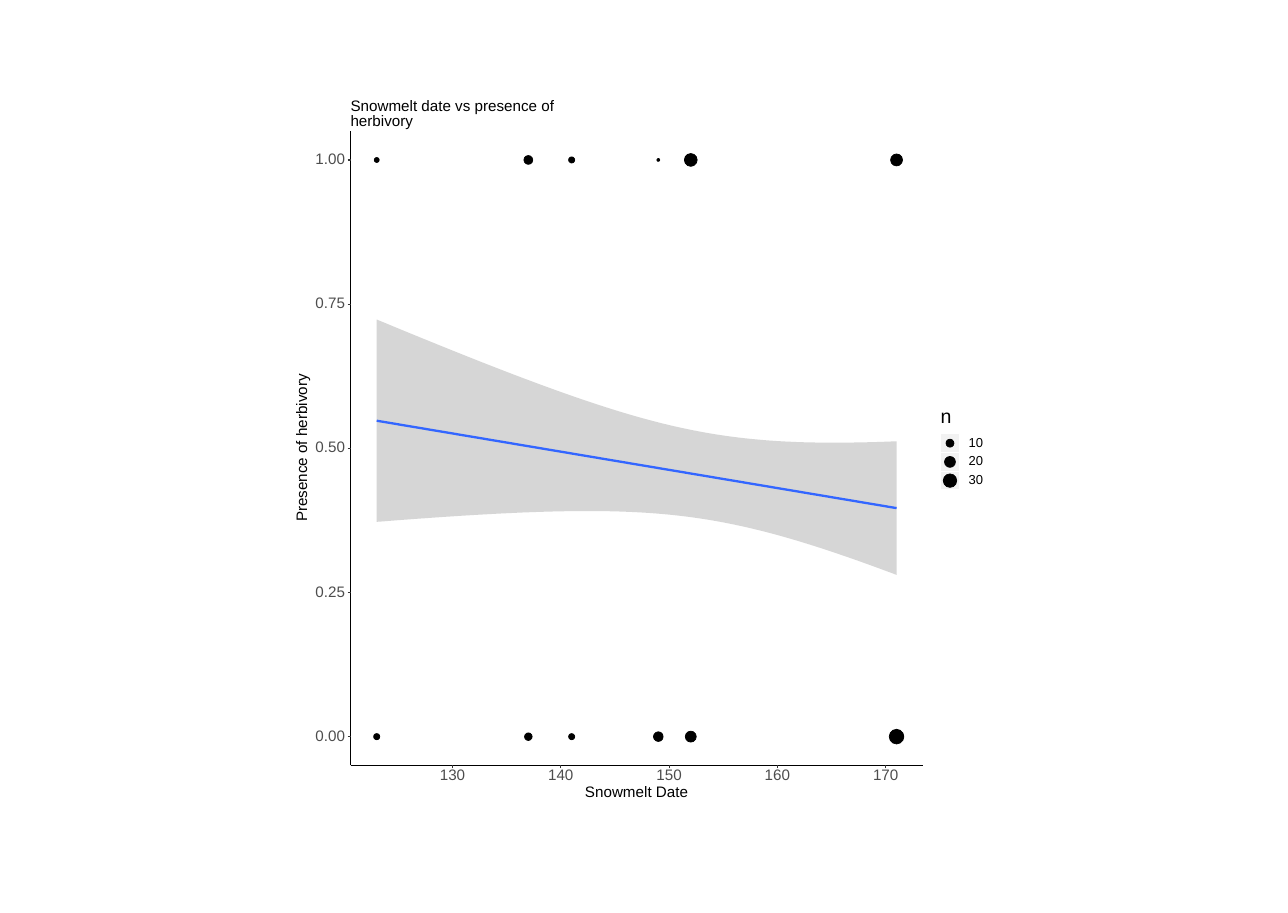
from dataclasses import dataclass
from math import sqrt
from typing import Optional

from lxml import etree
from pptx import Presentation
from pptx import util as u
from pptx.dml.color import RGBColor
from pptx.enum import shapes, text
from pptx.oxml import ns

BLACK = RGBColor(0x00, 0x00, 0x00)
WHITE = RGBColor(0xFF, 0xFF, 0xFF)
TICK_GREY = RGBColor(0x33, 0x33, 0x33)
LABEL_GREY = RGBColor(0x4D, 0x4D, 0x4D)
BAND_GREY = RGBColor(0x99, 0x99, 0x99)
KEY_GREY = RGBColor(0xF2, 0xF2, 0xF2)
FIT_BLUE = RGBColor(0x33, 0x66, 0xFF)

LEFT, RIGHT, TOP, BOTTOM = 323.3, 851, 121, 706.3
TICK = 2.7
FIRST_DATE, LAST_DATE = 123, 171
BAND_STEPS = 79


@dataclass(frozen=True)
class Observation:
    date: int
    presence: int
    diameter: float


@dataclass(frozen=True)
class LegendKey:
    label: str
    diameter: float


@dataclass(frozen=True)
class Label:
    wording: str
    left: float
    top: float
    width: float
    height: float
    size: int = 14
    color: RGBColor = BLACK
    align: text.PP_ALIGN = text.PP_ALIGN.LEFT
    rotation: int = 0


OBSERVATIONS = [
    Observation(123, 0, 5.6), Observation(123, 1, 4.5),
    Observation(137, 0, 7), Observation(137, 1, 8.1),
    Observation(141, 0, 5.6), Observation(141, 1, 5.6),
    Observation(149, 0, 8.9), Observation(149, 1, 2.6),
    Observation(152, 0, 10.1), Observation(152, 1, 11.8),
    Observation(171, 0, 13.5), Observation(171, 1, 11),
]
LEGEND_KEYS = [LegendKey("10", 7.3), LegendKey("20", 10.1), LegendKey("30", 12.4)]


def date_x(date: float) -> float:
    return 417.4 + (date - 130) * 9.99


def presence_y(presence: float) -> float:
    return 679.7 - presence * 532.1


def fit_y(date: float) -> float:
    return 388.2 + (date - FIRST_DATE) * 1.68


def band_half_height(date: float) -> float:
    return sqrt(1597 + 7.48 * (date - 153.85) ** 2)


def add_filled(page, kind, left: float, top: float, width: float, height: float,
               fill: RGBColor, line: Optional[RGBColor] = None, weight: float = 1.07):
    shape = page.shapes.add_shape(kind, u.Pt(left), u.Pt(top), u.Pt(width), u.Pt(height))
    shape.shadow.inherit = False
    shape.fill.solid()
    shape.fill.fore_color.rgb = fill
    if line is None:
        shape.line.fill.background()
    else:
        shape.line.color.rgb = line
        shape.line.width = u.Pt(weight)
    return shape


def add_dot(page, x: float, y: float, diameter: float) -> None:
    add_filled(page, shapes.MSO_SHAPE.OVAL, x - diameter / 2, y - diameter / 2,
               diameter, diameter, BLACK, BLACK, 0.71)


def add_line(page, x1: float, y1: float, x2: float, y2: float,
             color: RGBColor, weight: float = 1.07) -> None:
    line = page.shapes.add_connector(shapes.MSO_CONNECTOR.STRAIGHT,
                                     u.Pt(x1), u.Pt(y1), u.Pt(x2), u.Pt(y2))
    line.line.color.rgb = color
    line.line.width = u.Pt(weight)
    etree.SubElement(line._element.spPr, ns.qn("a:effectLst"))


def set_label(box, label: Label) -> None:
    box.left, box.top = u.Pt(label.left), u.Pt(label.top)
    box.width, box.height = u.Pt(label.width), u.Pt(label.height)
    box.rotation = label.rotation
    frame = box.text_frame
    frame.text = label.wording
    frame.word_wrap = False
    frame.auto_size = text.MSO_AUTO_SIZE.NONE
    frame.vertical_anchor = text.MSO_ANCHOR.MIDDLE
    frame.margin_left = frame.margin_right = frame.margin_top = frame.margin_bottom = 0
    para = frame.paragraphs[0]
    para.alignment = label.align
    para.line_spacing = u.Pt(label.size)
    span = para.runs[0]
    span.font.name = "Arial"
    span.font.size = u.Pt(label.size)
    span.font.color.rgb = label.color


def add_label(page, label: Label) -> None:
    set_label(page.shapes.add_textbox(0, 0, 0, 0), label)


def add_band(page) -> None:
    step = (LAST_DATE - FIRST_DATE) / BAND_STEPS
    dates = [FIRST_DATE + step * index for index in range(BAND_STEPS + 1)]
    upper = [(date_x(date), fit_y(date) - band_half_height(date)) for date in dates]
    lower = [(date_x(date), fit_y(date) + band_half_height(date)) for date in dates]
    outline = [(u.Pt(x), u.Pt(y)) for x, y in upper + lower[::-1]]
    builder = page.shapes.build_freeform(*outline[0])
    builder.add_line_segments(outline[1:], close=True)
    band = builder.convert_to_shape()
    band.shadow.inherit = False
    band.line.fill.background()
    band.fill.solid()
    band.fill.fore_color.rgb = BAND_GREY
    color = band._element.spPr.find(".//" + ns.qn("a:srgbClr"))
    etree.SubElement(color, ns.qn("a:alpha"), val="40000")


def add_axes(page) -> None:
    add_line(page, LEFT, BOTTOM, LEFT, TOP, BLACK)
    for quarter in range(5):
        y = presence_y(quarter / 4)
        add_label(page, Label(f"{quarter / 4:.2f}", 290.9, y - 5, 27.4, 10,
                              color=LABEL_GREY, align=text.PP_ALIGN.RIGHT))
        add_line(page, LEFT - TICK, y, LEFT, y, TICK_GREY)
    add_line(page, LEFT, BOTTOM, RIGHT, BOTTOM, BLACK)
    for date in range(130, 171, 10):
        x = date_x(date)
        add_line(page, x, BOTTOM + TICK, x, BOTTOM, TICK_GREY)
        add_label(page, Label(str(date), x - 11.7, 710.6, 23.4, 10,
                              color=LABEL_GREY, align=text.PP_ALIGN.CENTER))
    add_label(page, Label("Snowmelt Date", 539.7, 726.4, 95, 10,
                          align=text.PP_ALIGN.CENTER))
    add_label(page, Label("Presence of herbivory", 211, 406.8, 136, 13,
                          align=text.PP_ALIGN.CENTER, rotation=270))


def add_legend(page) -> None:
    rectangle = shapes.MSO_SHAPE.RECTANGLE
    key_left, key_top, key_side = 867.6, 400.3, 17.28
    add_filled(page, rectangle, 861.8, 369.4, 50.4, 88.6, WHITE)
    add_label(page, Label("n", key_left, 380.2, 10, 9.4, size=18))
    for index, key in enumerate(LEGEND_KEYS):
        top = key_top + index * key_side
        middle = top + key_side / 2
        add_filled(page, rectangle, key_left, top, key_side, key_side, KEY_GREY, WHITE)
        add_dot(page, key_left + key_side / 2, middle, key.diameter)
        add_label(page, Label(key.label, 893.5, middle - 4.3, 13.4, 8.6, size=12))


def main() -> None:
    deck = Presentation()
    deck.slide_width, deck.slide_height = u.Pt(1188), u.Pt(842.4)
    page = deck.slides.add_slide(deck.slide_layouts[5])
    title = page.shapes.title
    set_label(title, Label("Snowmelt date vs presence of herbivory", LEFT, 99.4, 249, 13))
    panel = add_filled(page, shapes.MSO_SHAPE.RECTANGLE, 270, 97.2, 648, 648, WHITE, WHITE)
    title._element.addprevious(panel._element)
    add_band(page)
    add_line(page, date_x(FIRST_DATE), fit_y(FIRST_DATE),
             date_x(LAST_DATE), fit_y(LAST_DATE), FIT_BLUE, 2.13)
    for point in OBSERVATIONS:
        add_dot(page, date_x(point.date), presence_y(point.presence), point.diameter)
    add_axes(page)
    add_legend(page)
    deck.save("out.pptx")


if __name__ == "__main__":
    main()
